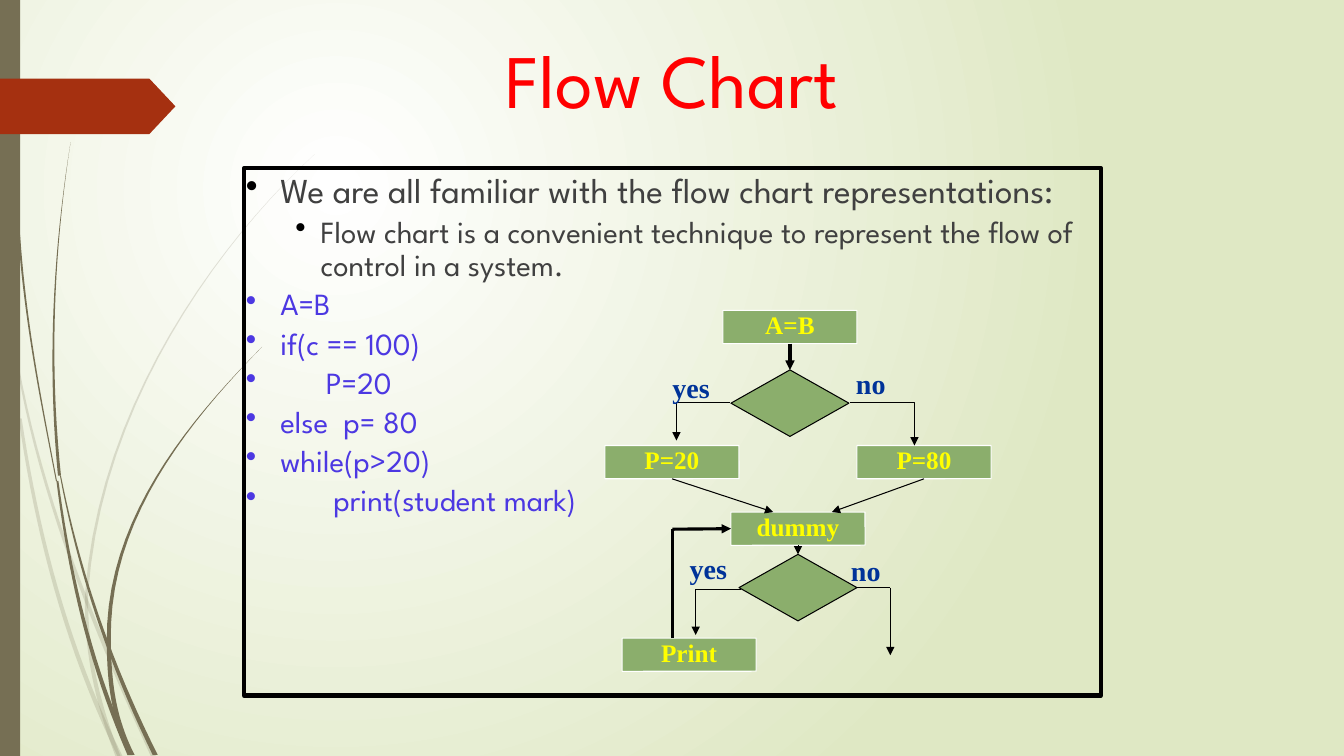
"""Build the Flow Chart slide: code bullets beside the flow chart they describe."""
from dataclasses import dataclass

from lxml import etree
from pptx import Presentation
from pptx import util as u
from pptx.dml.color import RGBColor
from pptx.enum import shapes, text
from pptx.oxml import ns

PX = 9144
SLIDE = (1333, 750)


@dataclass(frozen=True)
class Theme:
    display: str = "League Spartan"
    chart: str = "Times New Roman"
    red: str = "FF0000"
    gray: str = "404040"
    violet: str = "4C38E2"
    black: str = "000000"
    white: str = "FFFFFF"
    pale: str = "DFE8C4"
    olive: str = "766F54"
    rust: str = "A53010"
    green: str = "8BAE6C"
    yellow: str = "FFFF00"
    navy: str = "003399"
    title_size: int = 54
    lead_size: int = 25
    body_size: int = 22
    node_size: int = 18
    label_size: int = 20


THEME = Theme()
TITLE = ("Flow Chart", (240, 37, 853, 92))
BODY_BOX = (242, 167, 850, 523)
OUTER, INNER = (34, -34), (74, -25)
BODY = [
    ("We are all familiar with the flow chart representations:", OUTER, THEME.lead_size, THEME.gray, THEME.black),
    ("Flow chart is a convenient technique to represent the flow of control in a system.",
     INNER, THEME.body_size, THEME.gray, THEME.black),
] + [(line, OUTER, THEME.body_size, THEME.violet, THEME.violet) for line in (
    "A=B", "if(c == 100)", "      P=20", "else  p= 80", "while(p>20)", "       print(student mark)")]

BOX_SIZE, DIAMOND_SIZE, LABEL_SIZE = (133, 33), (117, 66), (57, 43)
BOXES = {"A=B": (717, 308), "P=20": (600, 442), "P=80": (850, 442), "Print": (617, 633), "dummy": (725, 508)}
DIAMONDS = {"if": (725, 367), "while": (733, 550)}
LABELS = [("yes", (665, 368)), ("no", (847, 364)), ("yes", (682, 547)), ("no", (842, 549))]
TOP, LEFT, BOTTOM, RIGHT = range(4)
THIN, THICK = 0.75, 2.25
LINKS = [
    (("A=B", BOTTOM), ("if", TOP), THICK, True),
    ((667, 633), (667, 525), THICK, False),
    ((667, 525), ("dummy", LEFT), THICK, True),
    (("P=20", BOTTOM), (767, 508), THIN, True),
    (("P=80", BOTTOM), (825, 508), THIN, True),
    (("dummy", BOTTOM), ("while", TOP), THIN, True),
    (("while", RIGHT), (883, 583), THIN, False),
    ((883, 583), (883, 650), THIN, True),
]
ELBOWS = [((724, 399), (671, 437)), ((843, 399), (907, 442)), ((735, 585), (690, 630))]

FAINT, SOLID = 20, 100
WISPS = [
    (FAINT, (3, 5), [(20, 415), (41, 527), (73, 639), (119, 750)]),
    (FAINT, (2, 5), [(18, 365), (50, 494), (96, 622), (152, 750)]),
    (FAINT, (0, 3), [(312, 153), (215, 262), (130, 410), (86, 588)]),
    (FAINT, (3, 5), [(86, 588), (89, 645), (100, 699), (117, 750)]),
    (SOLID, (2, 1), [(19, 233), (28, 318), (41, 398), (56, 477)]),
    (SOLID, (2, 5), [(57, 477), (72, 568), (95, 658), (129, 749)]),
    (SOLID, (1, 5), [(60, 472), (82, 564), (113, 656), (154, 749)]),
    (SOLID, (0, 3), [(70, 141), (57, 251), (53, 361), (59, 472)]),
    (SOLID, (0, 4), [(260, 344), (187, 427), (130, 524), (108, 636)]),
    (SOLID, (4, 5), [(108, 636), (110, 676), (117, 713), (131, 749)]),
]


def emu(*lengths):
    return [round(length * PX) for length in lengths]


def add_xml(parent, tag, **attributes):
    return etree.SubElement(parent, ns.qn(tag), attributes)


def paint(shape, fill, line=None, width=THIN):
    shape.shadow.inherit = False
    shape.fill.solid()
    shape.fill.fore_color.rgb = RGBColor.from_string(fill)
    if line:
        shape.line.color.rgb = RGBColor.from_string(line)
        shape.line.width = u.Pt(width)
    else:
        shape.line.fill.background()


def set_frame(shape, anchor):
    frame = shape.text_frame
    frame.word_wrap = True
    frame.vertical_anchor = anchor
    frame.margin_left = frame.margin_right = 2 * PX
    frame.margin_top = frame.margin_bottom = 5 * PX
    return frame


def write(paragraph, words, font, size, color, spacing, align=text.PP_ALIGN.LEFT, bold=False):
    paragraph.add_run().text = words
    paragraph.alignment, paragraph.line_spacing = align, spacing
    paragraph.font.name, paragraph.font.size, paragraph.font.bold = font, u.Pt(size), bold
    paragraph.font.color.rgb = RGBColor.from_string(color)


def curve_through(points, t):
    s = 3 * t
    weights = (-(s - 1) * (s - 2) * (s - 3) / 6, s * (s - 2) * (s - 3) / 2,
               -s * (s - 1) * (s - 3) / 2, s * (s - 1) * (s - 2) / 6)
    return [sum(w * point[axis] for w, point in zip(weights, points)) for axis in (0, 1)]


def add_wisp(slide, opacity, widths, points, steps=20):
    left, right = [], []
    for step in range(steps + 1):
        t = step / steps
        x, y = curve_through(points, t)
        half = (widths[0] + (widths[1] - widths[0]) * t) / 2
        left.append(emu(x - half, y))
        right.append(emu(x + half, y))
    builder = slide.shapes.build_freeform(*left[0], scale=1.0)
    builder.add_line_segments(left[1:] + right[::-1], close=True)
    wisp = builder.convert_to_shape()
    paint(wisp, THEME.olive)
    if opacity < SOLID:
        add_xml(wisp._element.spPr.find(".//" + ns.qn("a:srgbClr")), "a:alpha", val=str(opacity * 1000))


def add_backdrop(slide):
    fill = slide.background.fill
    fill.gradient()
    for stop, color in zip(fill.gradient_stops, (THEME.white, THEME.pale)):
        stop.color.rgb = RGBColor.from_string(color)
    gradient = slide.element.find(".//" + ns.qn("a:gradFill"))
    gradient.remove(gradient.find(ns.qn("a:lin")))
    circle = add_xml(gradient, "a:path", path="circle")
    add_xml(circle, "a:fillToRect", l="50000", t="50000", r="100000", b="100000")
    for wisp in WISPS:
        add_wisp(slide, *wisp)
    paint(slide.shapes.add_shape(shapes.MSO_SHAPE.RECTANGLE, *emu(0, 0, 20, 750)), THEME.olive)
    tag = slide.shapes.add_shape(shapes.MSO_SHAPE.PENTAGON, *emu(0, 78, 174, 55))
    tag.adjustments[0] = 0.47
    paint(tag, THEME.rust)


def add_body(slide):
    box = slide.shapes.add_textbox(*emu(*BODY_BOX))
    box.line.color.rgb = RGBColor.from_string(THEME.black)
    box.line.width = u.Pt(3)
    frame = set_frame(box, text.MSO_ANCHOR.TOP)
    for index, (words, (margin, indent), size, color, bullet) in enumerate(BODY):
        paragraph = frame.add_paragraph() if index else frame.paragraphs[0]
        properties = paragraph._p.get_or_add_pPr()
        properties.set("marL", str(margin * PX))
        properties.set("indent", str(indent * PX))
        add_xml(add_xml(properties, "a:buClr"), "a:srgbClr", val=bullet)
        add_xml(properties, "a:buChar", char="•")
        write(paragraph, words, THEME.display, size, color, 0.9)
        if index:
            paragraph.space_before = u.Pt(4.2)


def add_link(slide, kind, start, end, width, arrow, nodes):
    corners = [(0, 0) if point[0] in nodes else point for point in (start, end)]
    link = slide.shapes.add_connector(kind, *emu(*corners[0], *corners[1]))
    for point, connect in ((start, link.begin_connect), (end, link.end_connect)):
        if point[0] in nodes:
            connect(nodes[point[0]], point[1])
    link.line.color.rgb = RGBColor.from_string(THEME.black)
    link.line.width = u.Pt(width)
    if arrow:
        add_xml(link._element.spPr.find(ns.qn("a:ln")), "a:tailEnd", type="triangle")
    add_xml(link._element.spPr, "a:effectLst")
    return link


def add_flow_chart(slide):
    nodes = {}
    for name, corner in BOXES.items():
        box = slide.shapes.add_shape(shapes.MSO_SHAPE.ROUNDED_RECTANGLE, *emu(*corner, *BOX_SIZE))
        box.adjustments[0] = 0.01
        paint(box, THEME.green, THEME.white)
        write(set_frame(box, text.MSO_ANCHOR.MIDDLE).paragraphs[0], name, THEME.chart, THEME.node_size,
              THEME.yellow, 0.85, text.PP_ALIGN.CENTER, True)
        nodes[name] = box
    for name, corner in DIAMONDS.items():
        nodes[name] = slide.shapes.add_shape(shapes.MSO_SHAPE.DIAMOND, *emu(*corner, *DIAMOND_SIZE))
        paint(nodes[name], THEME.green, THEME.black)
    for link in LINKS:
        add_link(slide, shapes.MSO_CONNECTOR.STRAIGHT, *link, nodes)
    for start, end in ELBOWS:
        elbow = add_link(slide, shapes.MSO_CONNECTOR.ELBOW, start, end, THIN, True, nodes)
        guides = elbow._element.spPr.find(".//" + ns.qn("a:avLst"))
        add_xml(guides, "a:gd", name="adj1", fmla="val 100000")
    for words, corner in LABELS:
        label = slide.shapes.add_textbox(*emu(*corner, *LABEL_SIZE))
        write(set_frame(label, text.MSO_ANCHOR.TOP).paragraphs[0], words, THEME.chart, THEME.label_size,
              THEME.navy, 0.85, bold=True)


def main():
    presentation = Presentation()
    presentation.slide_width, presentation.slide_height = emu(*SLIDE)
    slide = presentation.slides.add_slide(presentation.slide_layouts[6])
    add_backdrop(slide)
    words, place = TITLE
    title = set_frame(slide.shapes.add_textbox(*emu(*place)), text.MSO_ANCHOR.MIDDLE)
    write(title.paragraphs[0], words, THEME.display, THEME.title_size, THEME.red, 0.9, text.PP_ALIGN.CENTER)
    add_body(slide)
    add_flow_chart(slide)
    presentation.save("out.pptx")


if __name__ == "__main__":
    main()
